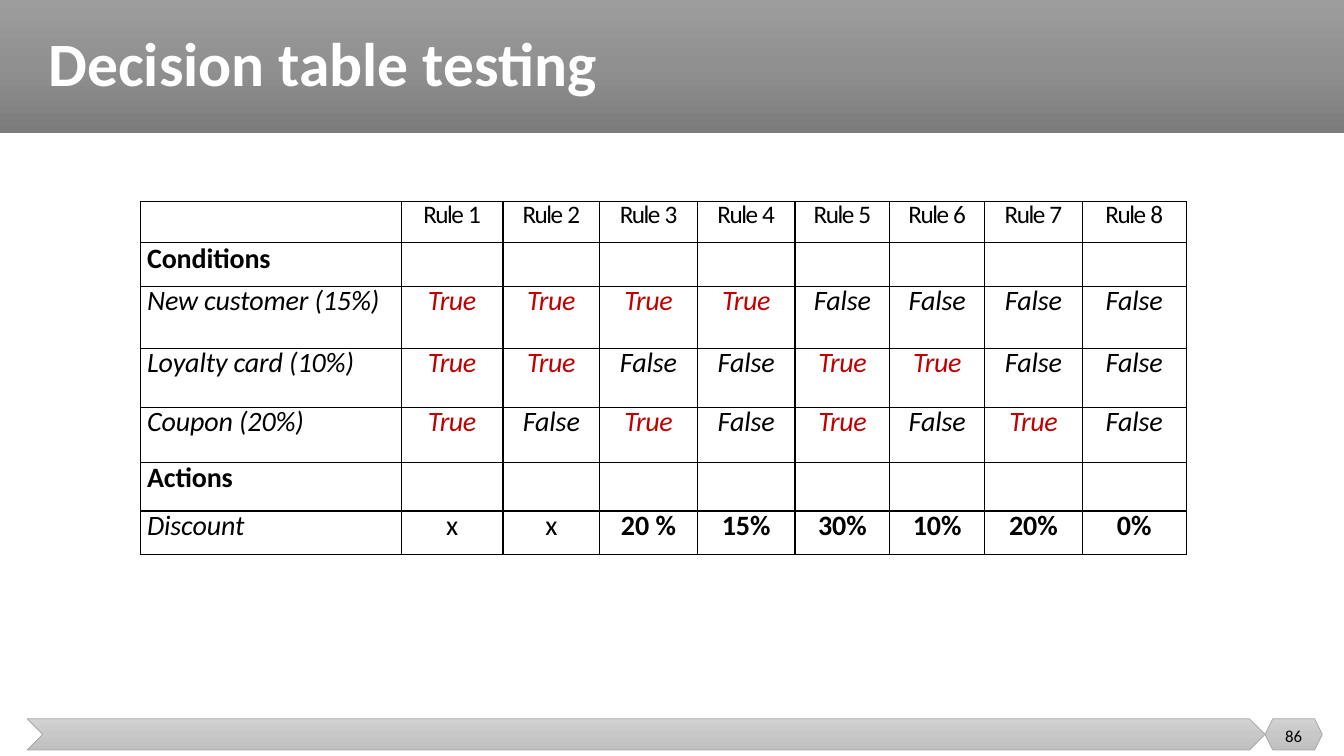
"""Build a slide with a decision table for customer discounts."""
import copy
import itertools

import lxml.etree
import pptx
import pptx.dml.color
import pptx.enum.shapes
import pptx.enum.text
import pptx.oxml.ns
import pptx.util

Pt = pptx.util.Pt
SHAPES = pptx.enum.shapes.MSO_SHAPE
ALIGN = pptx.enum.text.PP_ALIGN
MIDDLE = pptx.enum.text.MSO_ANCHOR.MIDDLE
FONT = "Calibri"
COLORS = {"text": "000000", "title": "FFFFFF", "true": "C00000", "edge": "A5A5A5"}
BAND_GRADIENT = ("9D9D9D", "909090", "7C7C7C")
FOOTER_GRADIENT = ("D2D2D2", "C8C8C8", "C0C0C0")
COLUMN_WIDTHS = (186.5, 72.7, 69.1, 69.8, 69.8, 67.7, 67.7, 69.8, 74.2)
ROW_HEIGHTS = (29.5, 31, 44.6, 41.8, 39.6, 34.6, 31)
CONDITIONS = ("New customer (15%)", "Loyalty card (10%)", "Coupon (20%)")
DISCOUNTS = ("x", "x", "20 %", "15%", "30%", "10%", "20%", "0%")


def rgb(value):
    """Return a colour object for a hex string."""
    return pptx.dml.color.RGBColor.from_string(value)


def style_font(paragraph, size, color=COLORS["text"], bold=False, italic=False):
    """Set the font of a whole paragraph."""
    font = paragraph.font
    font.name = FONT
    font.size = Pt(size)
    font.bold = bold
    font.italic = italic
    font.color.rgb = rgb(color)


def add_gradient_shape(slide, kind, box, gradient, edge=None):
    """Add a preset shape with a vertical three-stop gradient."""
    shape = slide.shapes.add_shape(kind, *map(Pt, box))
    shape.shadow.inherit = False
    fill = shape.fill
    fill.gradient()
    fill.gradient_angle = 270
    stop_list = fill._fill._gradFill.find(pptx.oxml.ns.qn("a:gsLst"))
    stop_list.append(copy.deepcopy(stop_list[-1]))
    for stop, position, color in zip(fill.gradient_stops, (0, 0.5, 1), gradient):
        stop.position = position
        stop.color.rgb = rgb(color)
    if edge:
        shape.line.color.rgb = rgb(edge)
        shape.line.width = Pt(0.5)
    else:
        shape.line.fill.background()


def add_title(slide, text):
    """Fill the title placeholder and bring it in front of the band."""
    title = slide.shapes.title
    title.left, title.top, title.width, title.height = map(Pt, (27.4, 0, 917.3, 95))
    title.text_frame.text = text
    title.text_frame.vertical_anchor = MIDDLE
    paragraph = title.text_frame.paragraphs[0]
    paragraph.alignment = ALIGN.LEFT
    paragraph.line_spacing = 0.9
    style_font(paragraph, 44, COLORS["title"], bold=True)
    slide.shapes._spTree.append(title._element)


def add_page_number(slide, text):
    """Add the page number over the footer hexagon."""
    frame = slide.shapes.add_textbox(*map(Pt, (903.6, 511.2, 41, 28.8))).text_frame
    frame.word_wrap = True
    frame.vertical_anchor = MIDDLE
    paragraph = frame.paragraphs[0]
    paragraph.text = text
    paragraph.alignment = ALIGN.CENTER
    style_font(paragraph, 12)


def format_cell(cell):
    """Give a cell black borders, no fill and no margins."""
    properties = cell._tc.get_or_add_tcPr()
    for side in ("a:lnL", "a:lnR", "a:lnT", "a:lnB"):
        line = lxml.etree.SubElement(properties, pptx.oxml.ns.qn(side), w=str(Pt(1)))
        solid = lxml.etree.SubElement(line, pptx.oxml.ns.qn("a:solidFill"))
        lxml.etree.SubElement(solid, pptx.oxml.ns.qn("a:srgbClr"), val=COLORS["text"])
    cell.fill.background()
    cell.margin_left = cell.margin_right = cell.margin_top = cell.margin_bottom = 0


def write_cell(cell, pieces, spacing=22.8, size=20, align=ALIGN.CENTER, **style):
    """Write (text, tracking in points) pieces into a cell."""
    paragraph = cell.text_frame.paragraphs[0]
    paragraph.alignment = align
    paragraph.line_spacing = Pt(spacing)
    style_font(paragraph, size, **style)
    for text, tracking in pieces:
        run = paragraph.add_run()
        run.text = text
        run._r.get_or_add_rPr().set("spc", str(round(tracking * 100)))


def write_label(cell, text, heading=False):
    """Write a row label in the first column."""
    cell.margin_left = Pt(5)
    write_cell(cell, [(text, -0.1)], 23.4 if heading else 22.8, align=ALIGN.LEFT,
               bold=heading, italic=not heading)


def add_decision_table(slide):
    """Add the table of rules, conditions and discounts."""
    frame = slide.shapes.add_table(len(ROW_HEIGHTS), len(COLUMN_WIDTHS), Pt(100.1), Pt(144),
                                   Pt(sum(COLUMN_WIDTHS)), Pt(sum(ROW_HEIGHTS)))
    table = frame.table
    table.first_row = table.horz_banding = False
    for column, width in zip(table.columns, COLUMN_WIDTHS):
        column.width = Pt(width)
    for row, height in zip(table.rows, ROW_HEIGHTS):
        row.height = Pt(height)
    for cell in table.iter_cells():
        format_cell(cell)

    write_label(table.cell(1, 0), "Conditions", heading=True)
    for row, condition in enumerate(CONDITIONS, 2):
        write_label(table.cell(row, 0), condition)
    write_label(table.cell(5, 0), "Actions", heading=True)
    write_label(table.cell(6, 0), "Discount")

    outcomes = itertools.product((True, False), repeat=len(CONDITIONS))
    for rule, (outcome, discount) in enumerate(zip(outcomes, DISCOUNTS), 1):
        write_cell(table.cell(0, rule), [("Rule ", -1.1), (str(rule), -0.3)], 20.4, 18)
        for row, value in enumerate(outcome, 2):
            write_cell(table.cell(row, rule), [(str(value), -0.3 if value else -0.1)],
                       italic=True, color=COLORS["true" if value else "text"])
        write_cell(table.cell(6, rule), [(discount, 0)], bold=discount != "x")


def main():
    """Build and save the presentation."""
    presentation = pptx.Presentation()
    presentation.slide_width, presentation.slide_height = Pt(960), Pt(540)
    slide = presentation.slides.add_slide(presentation.slide_layouts[5])
    add_gradient_shape(slide, SHAPES.RECTANGLE, (0, 0, 960, 95), BAND_GRADIENT)
    add_gradient_shape(slide, SHAPES.CHEVRON, (19.4, 513.4, 884.2, 22.3),
                       FOOTER_GRADIENT, COLORS["edge"])
    add_gradient_shape(slide, SHAPES.HEXAGON, (903.6, 513.4, 41, 22.3),
                       FOOTER_GRADIENT, COLORS["edge"])
    add_title(slide, "Decision table testing")
    add_page_number(slide, "86")
    add_decision_table(slide)
    presentation.save("out.pptx")


if __name__ == "__main__":
    main()
